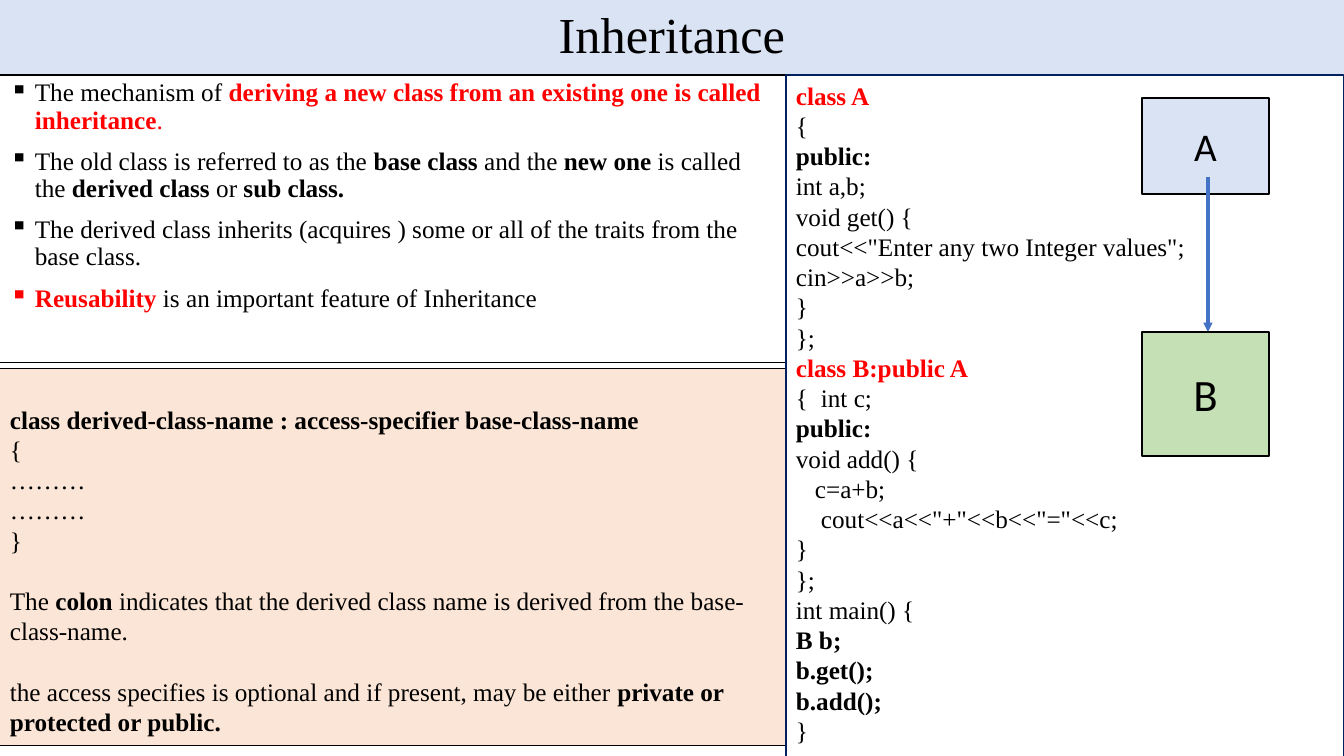
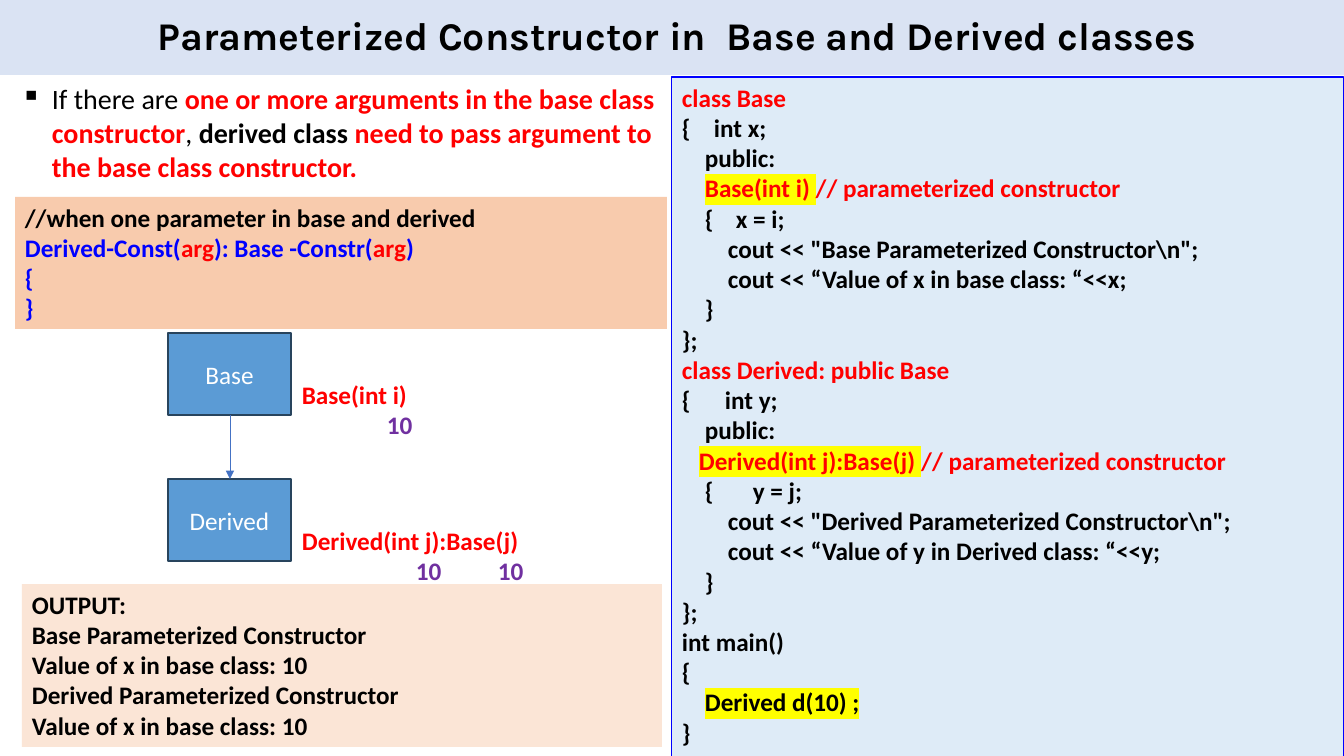
from typing import NamedTuple, Optional

from lxml import etree
from pptx import Presentation
from pptx import util as u
from pptx.dml.color import RGBColor
from pptx.enum import shapes, text
from pptx.oxml.ns import qn

PX = 914400 / 100.8
WIDTH, HEIGHT = 1344, 756
TITLE_HEIGHT = 75
BLANK_LINE = 21.6
SERIF, SANS, DISPLAY = "Times New Roman", "Calibri", "Karla"

BLACK = RGBColor(0x00, 0x00, 0x00)
WHITE = RGBColor(0xFF, 0xFF, 0xFF)
RED = RGBColor(0xFF, 0x00, 0x00)
BLUE = RGBColor(0x00, 0x00, 0xFF)
NAVY = RGBColor(0x00, 0x20, 0x60)
PURPLE = RGBColor(0x70, 0x30, 0xA0)
YELLOW = RGBColor(0xFF, 0xFF, 0x00)
LAVENDER = RGBColor(0xDA, 0xE3, 0xF3)
PALE_BLUE = RGBColor(0xDE, 0xEB, 0xF7)
PEACH = RGBColor(0xFB, 0xE5, 0xD6)
ORANGE = RGBColor(0xF8, 0xCB, 0xAD)
GREEN = RGBColor(0xC5, 0xE0, 0xB4)
NODE_BLUE = RGBColor(0x5B, 0x9B, 0xD5)
NODE_EDGE = RGBColor(0x28, 0x44, 0x5D)
ARROW_BLUE = RGBColor(0x44, 0x72, 0xC4)


class Tone(NamedTuple):
    color: RGBColor = BLACK
    bold: bool = False
    mark: Optional[RGBColor] = None


PLAIN = Tone()
BOLD = Tone(bold=True)
RED_PLAIN = Tone(RED)
RED_BOLD = Tone(RED, True)
BLUE_BOLD = Tone(BLUE, True)
PURPLE_BOLD = Tone(PURPLE, True)
RED_MARKED = Tone(RED, True, YELLOW)
BLACK_MARKED = Tone(BLACK, True, YELLOW)


class Line:
    def __init__(self, *spans, stops=None, gap=0):
        self.spans = spans
        self.stops = stops
        self.gap = gap


def px(length):
    return u.Emu(round(length * PX))


def add_element(parent, tag, **attributes):
    return etree.SubElement(parent, qn(tag), attributes)


class Deck:
    def __init__(self):
        self.deck = Presentation()
        self.deck.slide_width, self.deck.slide_height = px(WIDTH), px(HEIGHT)
        self.page = None

    def add_page(self, title, font, size, tone):
        self.page = self.deck.slides.add_slide(self.deck.slide_layouts[6])
        self.node(0, 0, WIDTH, TITLE_HEIGHT, title, LAVENDER, None,
                  font=font, size=size, tone=tone, spacing=0.9)

    def panel(self, x, y, w, h, lines, fill=None, edge=None, weight=0.75, top=5,
              anchor=text.MSO_ANCHOR.TOP, **style):
        box = self.page.shapes.add_shape(
            shapes.MSO_SHAPE.RECTANGLE, px(x), px(y), px(w), px(h))
        box.shadow.inherit = False
        if fill is None:
            box.fill.background()
        else:
            box.fill.solid()
            box.fill.fore_color.rgb = fill
        if edge is None:
            box.line.fill.background()
        else:
            box.line.color.rgb = edge
            box.line.width = u.Pt(weight)
        box.text_frame.margin_top = px(top)
        box.text_frame.vertical_anchor = anchor
        self.add_lines(box, lines, **style)

    def node(self, x, y, w, h, label, fill, edge, **style):
        self.panel(x, y, w, h, [label], fill, edge, weight=1,
                   anchor=text.MSO_ANCHOR.MIDDLE,
                   align=text.PP_ALIGN.CENTER, **style)

    def label(self, x, y, w, h, lines, **style):
        box = self.page.shapes.add_textbox(px(x), px(y), px(w), px(h))
        self.add_lines(box, lines, **style)

    def arrow(self, x, y, end, weight):
        line = self.page.shapes.add_connector(
            shapes.MSO_CONNECTOR.STRAIGHT, px(x), px(y), px(x), px(end))
        line.line.color.rgb = ARROW_BLUE
        line.line.width = u.Pt(weight)
        properties = line._element.spPr
        add_element(properties.find(qn("a:ln")), "a:tailEnd", type="triangle")
        add_element(properties, "a:effectLst")

    def add_lines(self, box, lines, font=SANS, size=18, tone=PLAIN, spacing=None,
                  align=text.PP_ALIGN.LEFT, hang=0, gap=0, stops=()):
        frame = box.text_frame
        frame.word_wrap = True
        for number, line in enumerate(lines):
            if isinstance(line, str):
                line = Line(line)
            para = frame.add_paragraph() if number else frame.paragraphs[0]
            para.alignment = align
            para.space_before = u.Pt(line.gap or gap)
            if spacing:
                para.line_spacing = spacing
            self.indent(para, hang, stops if line.stops is None else line.stops)
            for part in line.spans:
                words, look = (part, tone) if isinstance(part, str) else part
                self.span(para, words, look, font, size)

    def indent(self, para, hang, stops):
        properties = para._p.get_or_add_pPr()
        if hang:
            properties.set("marL", str(px(hang)))
            properties.set("indent", str(-px(hang)))
            add_element(properties, "a:buChar", char="▪")
        if stops:
            tabs = add_element(properties, "a:tabLst")
            for stop in stops:
                add_element(tabs, "a:tab", pos=str(px(stop)), algn="l")

    def span(self, para, words, tone, font, size):
        span = para.add_run()
        span.text = words
        span.font.size = u.Pt(size)
        span.font.bold = tone.bold
        span.font.color.rgb = tone.color
        if tone.mark is not None:
            mark = add_element(span.font._element, "a:highlight")
            add_element(mark, "a:srgbClr", val=str(tone.mark))
        span.font.name = font


def build_inheritance(deck):
    deck.add_page("Inheritance", SERIF, 36, PLAIN)
    split = 786
    deck.panel(0, TITLE_HEIGHT, split, 288, [
        Line("The mechanism of ",
             ("deriving a new class from an existing one is called inheritance", RED_BOLD),
             (".", RED_PLAIN)),
        Line("The old class is referred to as the ", ("base class", BOLD),
             " and the ", ("new one", BOLD), " is called the ",
             ("derived class", BOLD), " or ", ("sub class.", BOLD)),
        "The derived class inherits (acquires ) some or all of the traits from the base class.",
        Line(("Reusability", RED_BOLD), " is an important feature of Inheritance"),
    ], edge=BLACK, font=SERIF, spacing=0.9, hang=25, gap=10)
    deck.panel(0, 369, split, 377, [
        Line(("class derived-class-name : access-specifier base-class-name", BOLD)),
        "{", "………", "………", "}",
        Line("The ", ("colon ", BOLD),
             "indicates that the derived class name is derived from the base-class-name.",
             gap=BLANK_LINE),
        Line("the access specifies is optional and if present, may be either ",
             ("private or protected or public.", BOLD), gap=BLANK_LINE),
    ], PEACH, BLACK, top=35, font=SERIF)
    deck.panel(split, TITLE_HEIGHT, WIDTH - split, 682, [
        Line(("class A", RED_BOLD)),
        "{",
        Line(("public:", BOLD)),
        "int a,b;",
        "void get() {",
        'cout<<"Enter any two Integer values";',
        "cin>>a>>b;",
        "}",
        "};",
        Line(("class B:public A", RED_BOLD)),
        "{\tint c;",
        Line(("public:", BOLD)),
        "void add() {",
        Line("\tc=a+b;", stops=(19,)),
        '\tcout<<a<<"+"<<b<<"="<<c;',
        "}",
        "};",
        "int main() {",
        Line(("B b;", BOLD)),
        Line(("b.get();", BOLD)),
        Line(("b.add();", BOLD)),
        "}",
    ], edge=NAVY, font=SERIF, stops=(25,))
    deck.node(1142, 98, 127, 96, "A", LAVENDER, BLACK, size=28)
    deck.arrow(1208, 177, 332, 2.25)
    deck.node(1142, 332, 127, 124, "B", GREEN, BLACK, size=32)


def build_constructors(deck):
    deck.add_page(" Parameterized Constructor in  Base and Derived classes",
                  DISPLAY, 28, BOLD)
    deck.label(11, 77, 674, 112, [
        Line("If there are ",
             ("one or more arguments in the base class constructor", RED_BOLD),
             ", ", ("derived class ", BOLD),
             ("need to pass argument to the base class constructor.", RED_BOLD)),
    ], size=20, hang=31)
    comment = ("// parameterized constructor", RED_BOLD)
    deck.panel(672, 77, 672, 682, [
        Line(("class Base", RED_BOLD)),
        Line("{\tint x;", stops=(32,)),
        "\tpublic:",
        Line("\t", ("Base(int i) ", RED_MARKED), comment),
        Line("\t{\tx = i;", stops=(23, 54)),
        '\t\tcout << "Base Parameterized Constructor\\n";',
        "\t\tcout << “Value of x in base class: “<<x;",
        "\t}",
        "};",
        Line(("class Derived: public Base", RED_BOLD)),
        Line("{\tint y;", stops=(43,)),
        "\tpublic:",
        Line("\t", ("Derived(int j):Base(j) ", RED_MARKED), comment, stops=(17,)),
        Line("\t{\ty = j;", stops=(23, 71)),
        '\t\tcout << "Derived Parameterized Constructor\\n";',
        "\t\tcout << “Value of y in Derived class: “<<y;",
        "\t}",
        "};",
        "int main()",
        "{",
        Line("\t", ("Derived d(10) ;", BLACK_MARKED)),
        "}",
    ], PALE_BLUE, BLUE, tone=BOLD, stops=(23, 46))
    argument = ("arg", RED_BOLD)
    deck.panel(15, 197, 652, 132, [
        Line(("//when one parameter in base and derived", BOLD)),
        Line("Derived-Const(", argument, "): Base -Constr(", argument, ")"),
        "{",
        "}",
    ], ORANGE, tone=BLUE_BOLD)
    deck.panel(22, 584, 640, 163, [
        "OUTPUT:",
        "Base Parameterized Constructor",
        "Value of x in base class: 10",
        "Derived Parameterized Constructor",
        "Value of x in base class: 10",
    ], PEACH, tone=BOLD)
    white = Tone(WHITE)
    for y, name, call, values, stops in (
            (333, "Base", "Base(int i)", "\t10", (85,)),
            (479, "Derived", "Derived(int j):Base(j)", "\t10\t10", (114, 196))):
        deck.node(168, y, 123, 82, name, NODE_BLUE, NODE_EDGE, tone=white)
        deck.label(292, y + 41, 260, 71,
                   [call, Line((values, PURPLE_BOLD), stops=stops)], tone=RED_BOLD)
    deck.arrow(230, 415, 479, 0.5)


def main():
    deck = Deck()
    build_inheritance(deck)
    build_constructors(deck)
    deck.deck.save("out.pptx")


if __name__ == "__main__":
    main()
